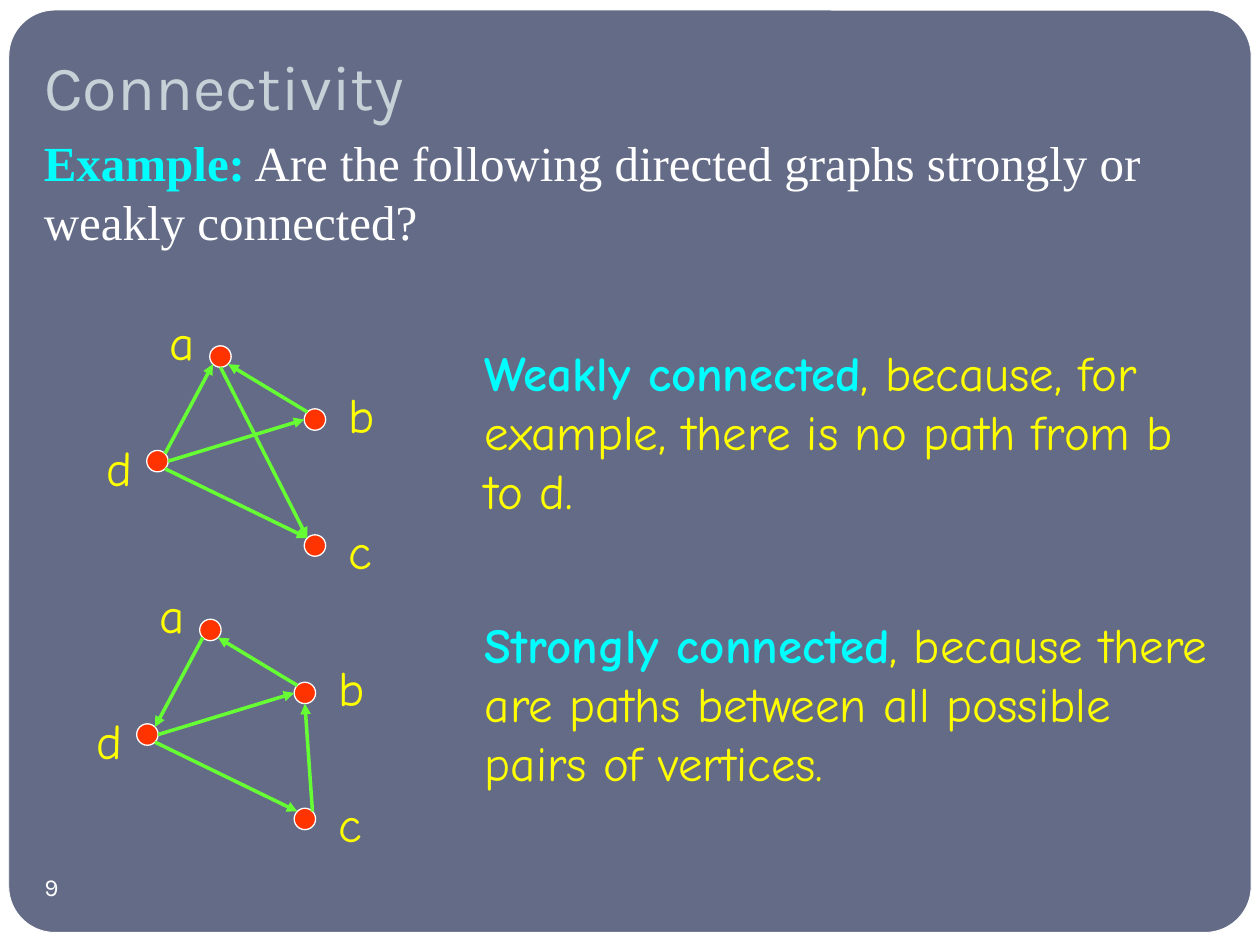
from dataclasses import dataclass
from math import sqrt

from lxml.etree import SubElement
from pptx import Presentation
from pptx.dml.color import RGBColor
from pptx.enum.shapes import MSO_CONNECTOR, MSO_SHAPE
from pptx.enum.text import MSO_ANCHOR as ANCHOR, MSO_AUTO_SIZE, PP_ALIGN as ALIGN
from pptx.oxml.ns import qn
from pptx.util import Inches, Pt


@dataclass(frozen=True)
class Theme:
    paper: str = "FFFFFF"
    panel: str = "646B86"
    title: str = "C5D1D7"
    accent: str = "00FFFF"
    text: str = "FFFF00"
    vertex: str = "FF3300"
    edge: str = "66FF33"
    title_font: str = "Karla"
    body_font: str = "Times New Roman"
    note_font: str = "Comic Neue"
    title_size: int = 36
    body_size: int = 28
    number_size: int = 14


T = Theme()

# Content
TITLE = "Connectivity"
NUMBER = "9"
QUESTION = ("Example:", " Are the following directed graphs strongly or weakly connected?")

# Vertex name: centre and label corner, both measured from vertex a
VERTICES = {
    "a": ((0, 0), (-0.5, -0.41)),
    "b": ((0.75, 0.5), (0.92, 0.17)),
    "c": ((0.75, 1.5), (0.92, 1.25)),
    "d": ((-0.5, 0.83), (-1, 0.59)),
}
# Edges: start vertex, side it leaves, end vertex, side it enters
SHARED_EDGES = [
    ("b", "NW", "a", "SE"),
    ("d", "E", "b", "W"),
    ("d", "SE", "c", "NW"),
]
GRAPHS = [
    dict(origin=(1.75, 2.83), note_top=2.67,
         edges=[("d", "NE", "a", "SW"), ("a", "S", "c", "NW")],
         note=("Weakly connected",
               ", because, for example, there is no path from b to d.")),
    dict(origin=(1.67, 5), note_top=4.83,
         edges=[("a", "SW", "d", "NE"), ("c", "NE", "b", "S")],
         note=("Strongly connected",
               ", because there are paths between all possible pairs of vertices.")),
]

# Layout
WIDTH, HEIGHT = 10, 7.5
DIAMETER = 0.17
LABEL_SIZE = (0.67, 0.57)
NOTE_LEFT, NOTE_SIZE = 3.75, (6, 1.92)
COMPASS = {"N": (0, -1), "S": (0, 1), "E": (1, 0), "W": (-1, 0)}


def rgb(value):
    return RGBColor.from_string(value)


def box(*lengths):
    return [Inches(v) for v in lengths]


def style(r, font, size, color, bold=False):
    r.font.name, r.font.size, r.font.bold = font, Pt(size), bold
    r.font.color.rgb = rgb(color)


def add_shape(s, kind, at, fill=None, line=None, line_width=0.75):
    sp = s.shapes.add_shape(kind, *box(*at))
    sp.shadow.inherit = False
    if fill:
        sp.fill.solid()
        sp.fill.fore_color.rgb = rgb(fill)
    else:
        sp.fill.background()
    if line:
        sp.line.color.rgb = rgb(line)
        sp.line.width = Pt(line_width)
    else:
        sp.line.fill.background()
    return sp


def add_text(s, at, runs, font):
    """Text box holding one paragraph of (text, color, bold) runs."""
    tf = s.shapes.add_textbox(*box(*at)).text_frame
    tf.word_wrap = True
    for text, color, bold in runs:
        r = tf.paragraphs[0].add_run()
        r.text = text
        style(r, font, T.body_size, color, bold)


def add_statement(s, at, parts, font, color):
    lead, rest = parts
    add_text(s, at, [(lead, T.accent, True), (rest, color, False)], font)


def port(center, side):
    """Point on a vertex's rim in a compass direction."""
    reach = DIAMETER / 2 / sqrt(len(side))
    return [c + reach * sum(COMPASS[letter][axis] for letter in side)
            for axis, c in enumerate(center)]


def add_edge(s, start, end):
    edge = s.shapes.add_connector(MSO_CONNECTOR.STRAIGHT, *box(*start, *end))
    edge.line.color.rgb = rgb(T.edge)
    edge.line.width = Pt(2)
    SubElement(edge.line._get_or_add_ln(), qn("a:tailEnd"), type="triangle")
    SubElement(edge._element.spPr, qn("a:effectLst"))


def add_graph(s, origin, edges, note, note_top):
    ox, oy = origin
    centers = {name: (ox + x, oy + y) for name, ((x, y), _) in VERTICES.items()}
    for x, y in centers.values():
        corner = (x - DIAMETER / 2, y - DIAMETER / 2)
        add_shape(s, MSO_SHAPE.FLOWCHART_CONNECTOR, (*corner, DIAMETER, DIAMETER),
                  T.vertex, T.paper)
    for tail, leave, head, enter in SHARED_EDGES + edges:
        add_edge(s, port(centers[tail], leave), port(centers[head], enter))
    for name, (_, (x, y)) in VERTICES.items():
        add_text(s, (ox + x, oy + y, *LABEL_SIZE), [(name, T.text, False)], T.note_font)
    add_statement(s, (NOTE_LEFT, note_top, *NOTE_SIZE), note, T.note_font, T.text)


def main():
    prs = Presentation()
    prs.slide_width, prs.slide_height = box(WIDTH, HEIGHT)
    s = prs.slides.add_slide(prs.slide_layouts[5])

    # Backdrop: white page with a rounded panel behind everything
    s.background.fill.solid()
    s.background.fill.fore_color.rgb = rgb(T.paper)
    panel = add_shape(s, MSO_SHAPE.ROUNDED_RECTANGLE, (0.07, 0.08, 9.86, 7.32),
                      T.panel, T.paper, 0.5)
    panel.adjustments[0] = 0.05
    s.shapes._spTree.insert(2, panel._element)

    # Title
    title = s.shapes.title
    title.left, title.top, title.width, title.height = box(0.25, 0, 9.42, 1.08)
    tf = title.text_frame
    tf.text = TITLE
    tf.auto_size = MSO_AUTO_SIZE.NONE
    tf.vertical_anchor = ANCHOR.BOTTOM
    tf.margin_bottom = Inches(0.1)
    p = tf.paragraphs[0]
    p.alignment = ALIGN.LEFT
    style(p.runs[0], T.title_font, T.title_size, T.title)

    # Slide number
    tf = add_shape(s, MSO_SHAPE.OVAL, (0.16, 6.79, 0.5, 0.5)).text_frame
    tf.text = NUMBER
    tf.word_wrap = False
    tf.vertical_anchor = ANCHOR.MIDDLE
    tf.margin_left = tf.margin_right = tf.margin_top = tf.margin_bottom = 0
    p = tf.paragraphs[0]
    p.alignment = ALIGN.CENTER
    style(p.runs[0], T.title_font, T.number_size, T.paper)

    # Question, then each graph with its answer
    add_statement(s, (0.25, 1, 9.58, 1.08), QUESTION, T.body_font, T.paper)
    for graph in GRAPHS:
        add_graph(s, **graph)

    prs.save("out.pptx")


if __name__ == "__main__":
    main()
